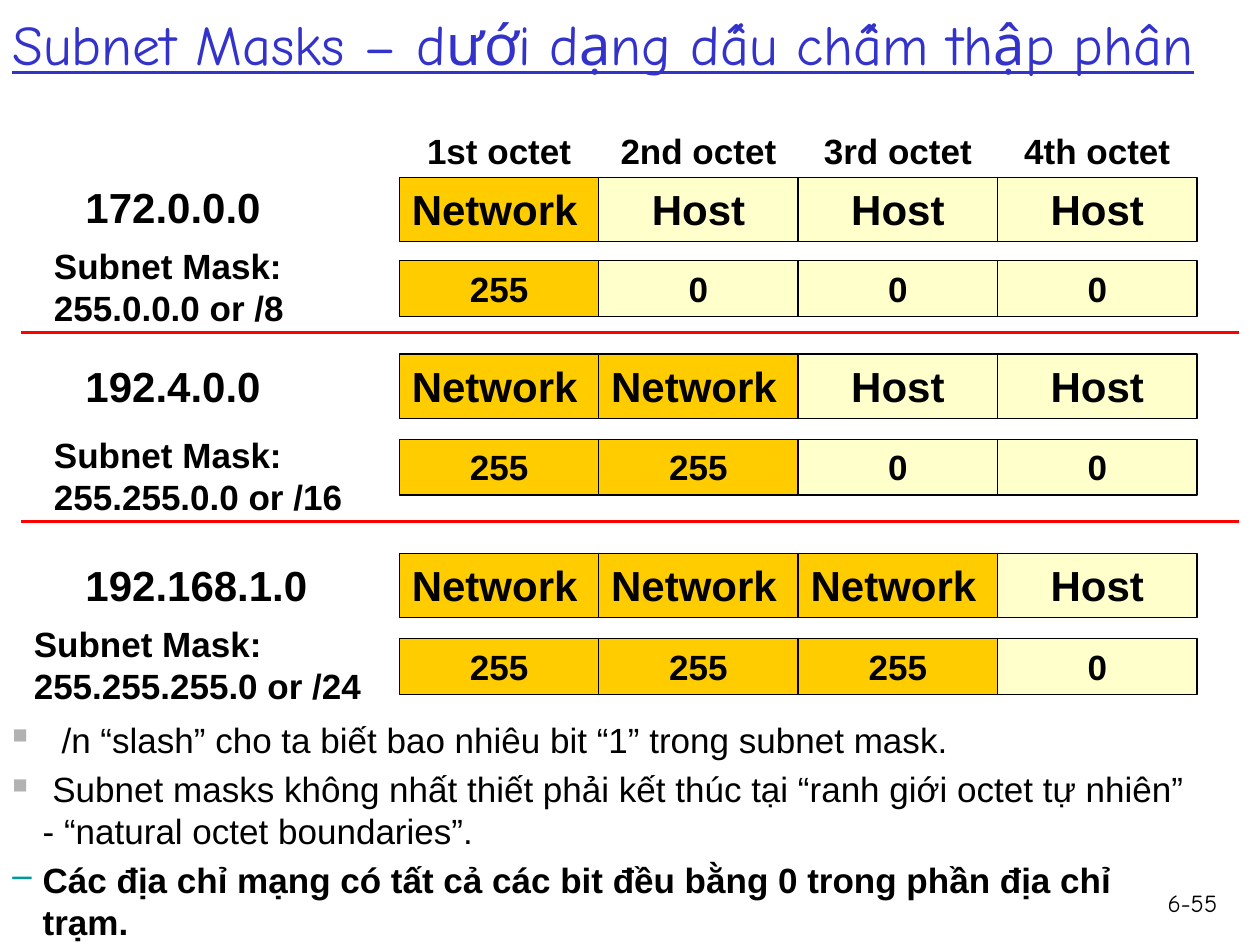
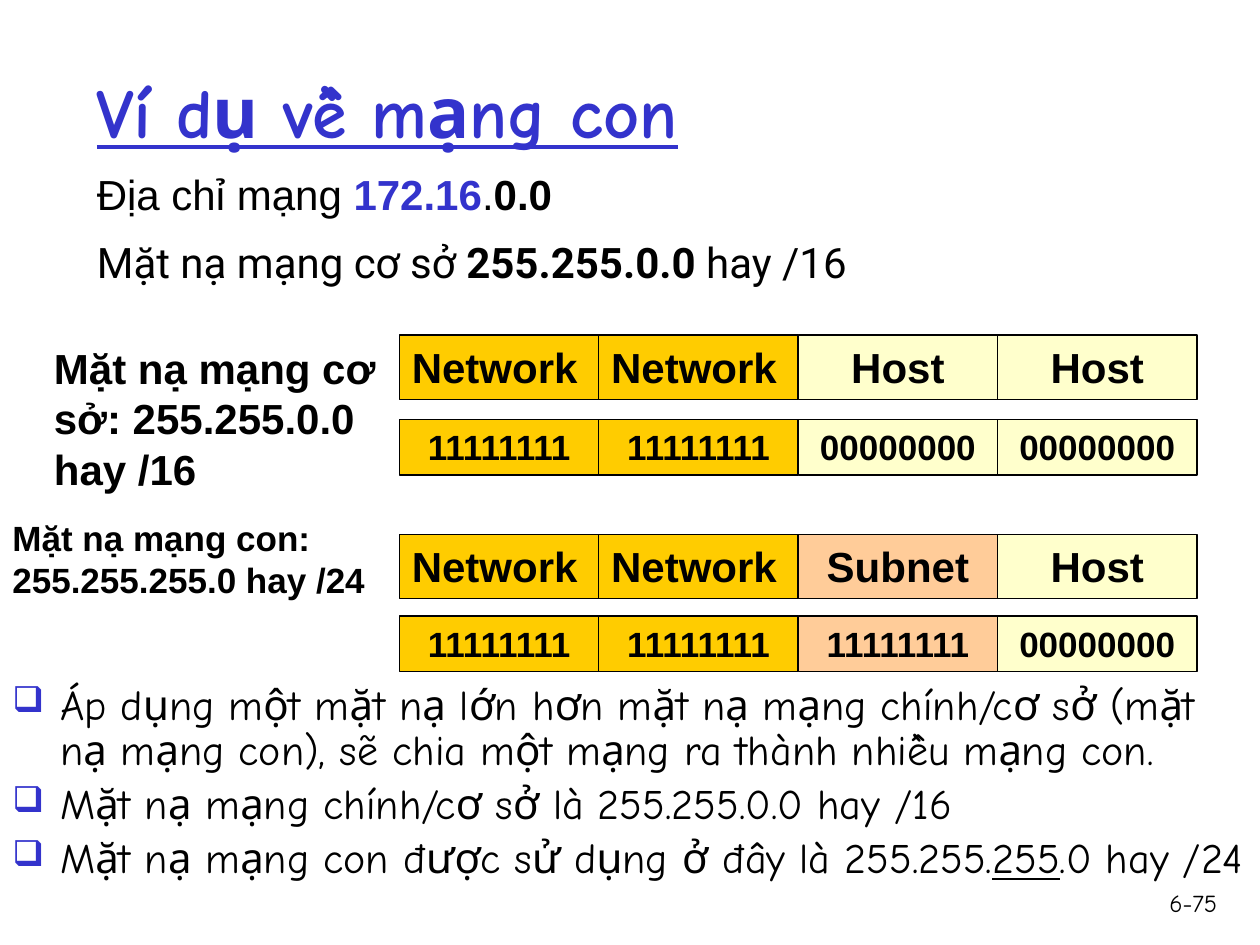
"""Builds two slides on subnet masks: dotted decimal masks and a subnetting example."""
from dataclasses import dataclass
from typing import Optional

from lxml.etree import SubElement as add_child
from pptx import Presentation
from pptx.dml.color import RGBColor
from pptx.enum.shapes import MSO_CONNECTOR as Connector, MSO_SHAPE as Shape
from pptx.enum.text import MSO_ANCHOR as Anchor, PP_ALIGN as Align
from pptx.oxml.ns import qn
from pptx.util import Inches, Pt


@dataclass(frozen=True)
class Theme:
    ink: str = "000000"
    accent: str = "3333CC"
    rule: str = "FF0000"
    square: str = "B2B2B2"
    dash: str = "009999"
    network: str = "FFCC00"
    host: str = "FFFFCC"
    subnet: str = "FFCC99"
    sans: str = "Arial"
    hand: str = "Comic Neue"
    roboto: str = "Roboto"
    large: int = 24
    normal: int = 20
    footer: int = 14


@dataclass(frozen=True)
class Span:
    text: str
    bold: bool = False
    underline: bool = False
    color: str = "000000"


@dataclass(frozen=True)
class Bullet:
    symbol: str
    color: str
    percent: int = 100


@dataclass(frozen=True)
class Para:
    spans: tuple
    bullet: Optional[Bullet] = None
    indent: float = 0
    leading: Optional[float] = None
    before: int = 0


THEME = Theme()
OCTET_LEFT, OCTET_WIDTH = 3.17, 6.33 / 4
ROLES = {
    "N": ("Network", THEME.network, Align.LEFT),
    "S": ("Subnet", THEME.subnet, Align.CENTER),
    "H": ("Host", THEME.host, Align.CENTER),
}
DECIMAL = {"N": "255", "S": "255", "H": "0"}
BINARY = {"N": "1" * 8, "S": "1" * 8, "H": "0" * 8}
SQUARE = Bullet("■", THEME.square, 60)
DASH = Bullet("–", THEME.dash)
CHECKBOX = Bullet("❑", THEME.accent, 85)


def color_of(value):
    return RGBColor.from_string(value)


def set_bullet(para, bullet, indent):
    properties = para._p.get_or_add_pPr()
    properties.set("marL", str(Inches(indent)))
    properties.set("indent", str(-Inches(indent)))
    if bullet is None:
        add_child(properties, qn("a:buNone"))
        return
    color = add_child(properties, qn("a:buClr"))
    add_child(color, qn("a:srgbClr"), val=bullet.color)
    add_child(properties, qn("a:buSzPct"), val=str(bullet.percent * 1000))
    add_child(properties, qn("a:buChar"), char=bullet.symbol)


def write(frame, paras, size, font=THEME.sans, align=Align.LEFT, anchor=Anchor.TOP):
    frame.word_wrap = True
    frame.vertical_anchor = anchor
    for index, content in enumerate(paras):
        para = frame.add_paragraph() if index else frame.paragraphs[0]
        set_bullet(para, content.bullet, content.indent)
        para.alignment = align
        if content.leading:
            para.line_spacing = content.leading
        if index and content.before:
            para.space_before = Pt(content.before)
        for span in content.spans:
            run = para.add_run()
            run.text = span.text
            run.font.name, run.font.size = font, Pt(size)
            run.font.bold, run.font.underline = span.bold, span.underline
            run.font.color.rgb = color_of(span.color)


def add_text(page, area, paras, size, **style):
    box = page.shapes.add_textbox(*map(Inches, area))
    write(box.text_frame, paras, size, **style)


def add_title(page, area, text, size, bold=False):
    span = Span(text, bold, True, THEME.accent)
    add_text(page, area, [Para((span,))], size, font=THEME.hand, anchor=Anchor.MIDDLE)


def add_label(page, area, text, size, align=Align.LEFT):
    add_text(page, area, [Para((Span(text, bold=True),))], size, align=align)


def add_page_number(page, text):
    add_text(page, (9.08, 7, 0.68, 0.5), [Para((Span(text),))], THEME.footer,
             font=THEME.hand, align=Align.RIGHT)


def octet_left(index):
    return OCTET_LEFT + index * OCTET_WIDTH


def add_cell(page, index, top, height, text, fill, size, align):
    area = (octet_left(index), top, OCTET_WIDTH, height)
    cell = page.shapes.add_shape(Shape.RECTANGLE, *map(Inches, area))
    cell.shadow.inherit = False
    cell.fill.solid()
    cell.fill.fore_color.rgb = color_of(fill)
    cell.line.color.rgb = color_of(THEME.ink)
    cell.line.width = Pt(0.75)
    write(cell.text_frame, [Para((Span(text, bold=True),))], size, align=align)


def add_octets(page, pattern, role_top, mask_top, digits):
    for index, role in enumerate(pattern):
        name, fill, align = ROLES[role]
        add_cell(page, index, role_top, 0.51, name, fill, THEME.large, align)
        add_cell(page, index, mask_top, 0.44, digits[role], fill, THEME.normal, Align.CENTER)


def add_rule(page, top):
    rule = page.shapes.add_connector(
        Connector.STRAIGHT, Inches(0.17), Inches(top), Inches(9.83), Inches(top))
    rule.line.color.rgb = color_of(THEME.rule)
    rule.line.width = Pt(2)
    add_child(rule._element.spPr, qn("a:effectLst"))


def add_decimal_page(deck):
    page = deck.slides.add_slide(deck.slide_layouts[6])
    add_page_number(page, "6-55")
    add_title(page, (0, -0.28, 10, 1.25), "Subnet Masks – dưới dạng dấu chấm thập phân", 32)
    for index, ordinal in enumerate(("1st", "2nd", "3rd", "4th")):
        add_label(page, (octet_left(index), 0.98, OCTET_WIDTH, 0.43), f"{ordinal} octet",
                  THEME.normal, Align.CENTER)
    networks = (
        ("172.0.0.0", "255.0.0.0 or /8", "NHHH", 1.39, 1.41, 2.07, 0.33, 1.89),
        ("192.4.0.0", "255.255.0.0 or /16", "NNHH", 2.81, 2.81, 3.49, 0.33, 3.39),
        ("192.168.1.0", "255.255.255.0 or /24", "NNNH", 4.39, 4.39, 5.07, 0.17, 4.89),
    )
    for address, mask, pattern, top, role_top, mask_top, left, label_top in networks:
        add_label(page, (0.58, top, 2.42, 0.5), address, THEME.large)
        add_label(page, (left, label_top, 3 - left, 0.77), f"Subnet Mask: {mask}", THEME.normal)
        add_octets(page, pattern, role_top, mask_top, DECIMAL)
    for top in (2.64, 4.14):
        add_rule(page, top)
    notes = (
        (SQUARE, 0.39, Span("/n “slash” cho ta biết bao nhiêu bit “1” trong subnet mask.")),
        (SQUARE, 0.24, Span(" Subnet masks không nhất thiết phải kết thúc tại “ranh giới octet "
                            "tự nhiên” - “natural octet boundaries”.")),
        (DASH, 0.24, Span("Các địa chỉ mạng có tất cả các bit đều bằng 0 trong phần địa chỉ "
                          "trạm.", bold=True)),
    )
    paras = [Para((span,), bullet, indent, before=4) for bullet, indent, span in notes]
    add_text(page, (0, 5.65, 9.58, 1.57), paras, THEME.normal)


def add_example_page(deck):
    page = deck.slides.add_slide(deck.slide_layouts[6])
    add_page_number(page, "6-75")
    add_title(page, (0.67, 0.39, 7.06, 0.97), "Ví dụ về mạng con", 40, bold=True)
    address = (Span("Địa chỉ mạng "), Span("172.16", bold=True, color=THEME.accent),
               Span("."), Span("0.0", bold=True))
    add_text(page, (0.67, 1.33, 4.67, 0.58), [Para(address, indent=0.38, leading=0.9)],
             THEME.large)
    base_mask = (Span("Mặt nạ mạng cơ sở "), Span("255.255.0.0", bold=True), Span(" hay /16"))
    add_text(page, (0.67, 1.83, 8.58, 0.5), [Para(base_mask)], THEME.large, font=THEME.roboto)
    add_label(page, (0.33, 2.67, 2.83, 0.7), "Mặt nạ mạng cơ sở: 255.255.0.0 hay /16",
              THEME.large)
    add_label(page, (0, 4.05, 3, 0.77), "Mặt nạ mạng con: 255.255.255.0 hay /24", THEME.normal)
    add_octets(page, "NNHH", 2.66, 3.33, BINARY)
    add_octets(page, "NNSH", 4.24, 4.89, BINARY)
    points = (
        (Span("Áp dụng một mặt nạ lớn hơn mặt nạ mạng chính/cơ sở (mặt nạ mạng con), "
              "sẽ chia một mạng ra thành nhiều mạng con."),),
        (Span("Mặt nạ mạng chính/cơ sở là 255.255.0.0 hay /16"),),
        (Span("Mặt nạ mạng con được sử dụng ở đây là 255.255."),
         Span("255", underline=True), Span(".0 hay /24")),
    )
    paras = [Para(spans, CHECKBOX, 0.38, 0.9, 5) for spans in points]
    add_text(page, (0, 5.38, 10, 2.12), paras, THEME.large, font=THEME.hand)


def main():
    deck = Presentation()
    deck.slide_width, deck.slide_height = Inches(10), Inches(7.5)
    add_decimal_page(deck)
    add_example_page(deck)
    deck.save("out.pptx")


if __name__ == "__main__":
    main()
